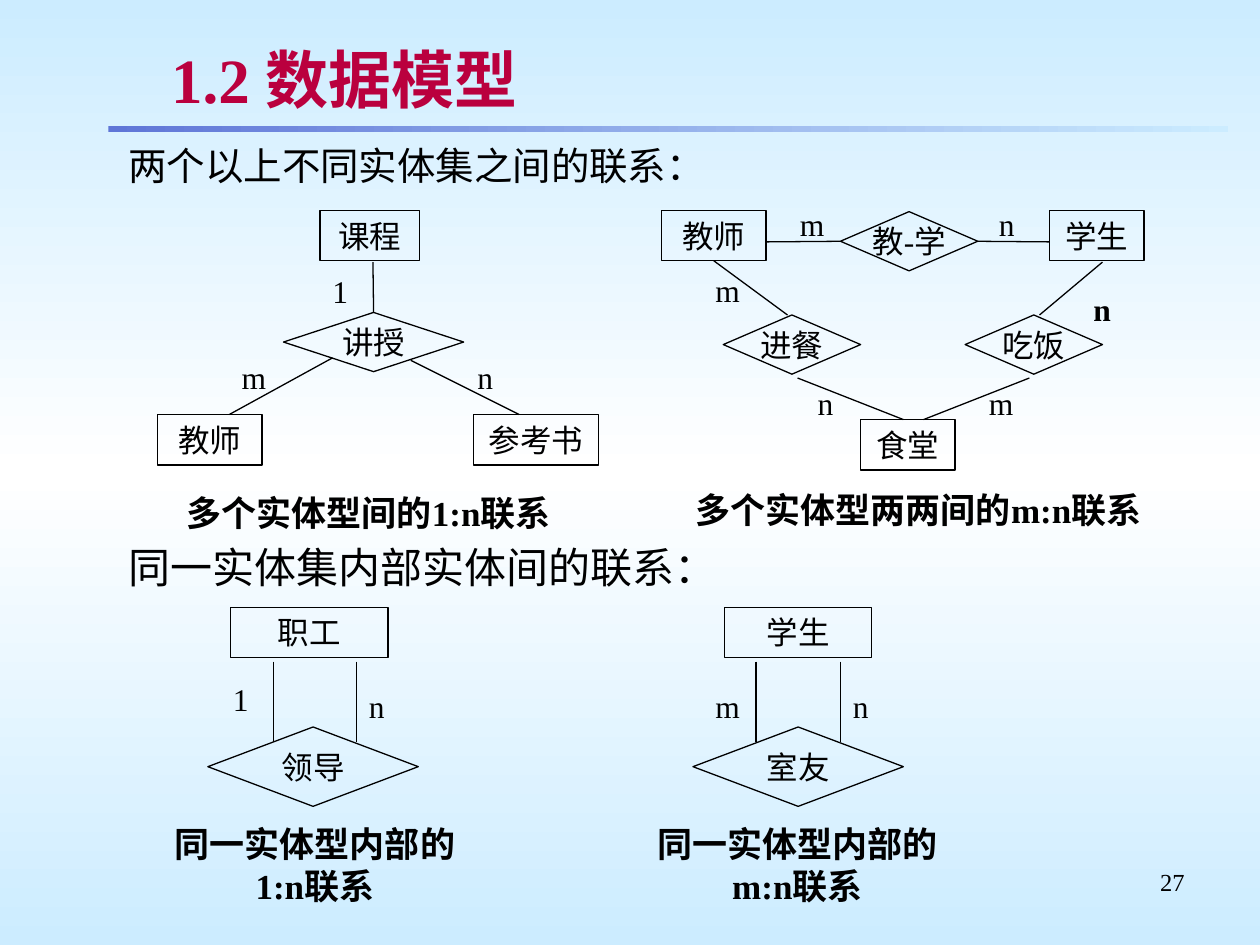
from lxml.etree import SubElement
from pptx import Presentation
from pptx.dml.color import RGBColor
from pptx.enum.shapes import MSO_CONNECTOR, MSO_SHAPE
from pptx.enum.text import MSO_ANCHOR, PP_ALIGN
from pptx.oxml.ns import qn
from pptx.util import Inches, Pt

BLACK, CRIMSON, SKY, WHITE, VIOLET = "000000", "BA003E", "CCECFF", "FFFFFF", "5F76D7"
TOP, LEFT, BOTTOM, RIGHT = range(4)
BOX_HEIGHT = 0.4


def color(value):
    return RGBColor.from_string(value)


def set_gradient(fill, owner, colors, angle):
    """Fill with evenly spaced colour stops; owner is the XML element holding the fill."""
    fill.gradient()
    fill.gradient_angle = angle
    stops = owner.find(".//" + qn("a:gsLst"))
    stops.clear()
    for index, value in enumerate(colors):
        position = 100000 * index // (len(colors) - 1)
        stop = SubElement(stops, qn("a:gs"), pos=str(position))
        SubElement(stop, qn("a:srgbClr"), val=value)


class DiagramSlide:
    """Holds the slide and the shared look of its entity-relationship diagrams."""

    font_name = "Times New Roman"
    font_size = 18
    caption_size = 20
    line_width = 0.75

    def __init__(self, presentation):
        self.slide = presentation.slides.add_slide(presentation.slide_layouts[6])
        self.shapes = self.slide.shapes
        set_gradient(self.slide.background.fill, self.slide.element, (SKY, WHITE, SKY), 270)

    def set_text(self, shape, text, size=None, bold=False, align=PP_ALIGN.LEFT,
                 font_name=None, font_color=BLACK, wrap=True, anchor=MSO_ANCHOR.TOP):
        frame = shape.text_frame
        frame.text = text
        frame.word_wrap = wrap
        frame.vertical_anchor = anchor
        paragraph = frame.paragraphs[0]
        paragraph.alignment = align
        font = paragraph.runs[0].font
        font.name = font_name or self.font_name
        font.size = Pt(size or self.font_size)
        font.bold = bold
        font.color.rgb = color(font_color)
        return paragraph

    def text(self, text, left, top, width, height, **style):
        box = self.shapes.add_textbox(Inches(left), Inches(top), Inches(width), Inches(height))
        return self.set_text(box, text, **style)

    def title(self, text, left, top, width, height):
        paragraph = self.text(text, left, top, width, height, size=36, bold=True,
                              font_color=CRIMSON, anchor=MSO_ANCHOR.MIDDLE)
        properties = paragraph.runs[0]._r.get_or_add_rPr()
        effects = properties.makeelement(qn("a:effectLst"))
        properties.find(qn("a:solidFill")).addnext(effects)
        shadow = SubElement(effects, qn("a:outerShdw"), dist="25400", dir="2700000")
        SubElement(shadow, qn("a:srgbClr"), val="C0C0C0")

    def heading(self, text, top, width, height, size, font_name=None):
        paragraph = self.text(text, 0.42, top, width, height, size=size, font_name=font_name)
        properties = paragraph._p.get_or_add_pPr()
        properties.set("marL", str(Inches(0.81)))
        properties.set("indent", str(Inches(-0.31)))

    def label(self, text, left, top, width=0.36, bold=False):
        self.text(text, left, top, width, BOX_HEIGHT, bold=bold)

    def caption(self, text, left, top, width, height=0.44):
        self.text(text, left, top, width, height, size=self.caption_size, bold=True,
                  align=PP_ALIGN.CENTER)

    def bar(self, left, top, width, height):
        shape = self.shapes.add_shape(MSO_SHAPE.RECTANGLE, Inches(left), Inches(top),
                                      Inches(width), Inches(height))
        shape.shadow.inherit = False
        shape.line.fill.background()
        set_gradient(shape.fill, shape._element, (VIOLET, SKY), 0)

    def outline(self, kind, text, left, top, width, height, **style):
        shape = self.shapes.add_shape(kind, Inches(left), Inches(top),
                                      Inches(width), Inches(height))
        shape.shadow.inherit = False
        shape.fill.background()
        shape.line.color.rgb = color(BLACK)
        shape.line.width = Pt(self.line_width)
        self.set_text(shape, text, align=PP_ALIGN.CENTER, **style)
        return shape

    def entity(self, text, left, top, width):
        return self.outline(MSO_SHAPE.RECTANGLE, text, left, top, width, BOX_HEIGHT)

    def relation(self, text, left, top, width=1.09, height=0.47):
        return self.outline(MSO_SHAPE.DIAMOND, text, left, top, width, height,
                            wrap=False, anchor=MSO_ANCHOR.MIDDLE)

    def line(self, start, end, begin_joint=None, end_joint=None):
        """Draw from start to end; a joint is a (shape, side) pair."""
        connector = self.shapes.add_connector(
            MSO_CONNECTOR.STRAIGHT, *(Inches(value) for value in (*start, *end)))
        connector.line.color.rgb = color(BLACK)
        connector.line.width = Pt(self.line_width)
        SubElement(connector._element.spPr, qn("a:effectLst"))
        if begin_joint:
            connector.begin_connect(*begin_joint)
        if end_joint:
            connector.end_connect(*end_joint)


def draw_course_diagram(page):
    page.entity("课程", 2.54, 1.67, 0.79)
    page.entity("教师", 1.25, 3.29, 0.83)
    page.entity("参考书", 3.76, 3.29, 0.99)
    teaching = page.relation("讲授", 2.25, 2.48, 1.43)
    page.line((2.96, 2.08), (2.96, 2.48), end_joint=(teaching, TOP))
    page.line((1.82, 3.29), (2.64, 2.84))
    page.line((3.26, 2.86), (4.12, 3.29))
    for text, left, top in (("1", 2.54, 2.11), ("m", 1.82, 2.79), ("n", 3.69, 2.79)):
        page.label(text, left, top)
    page.caption("多个实体型间的1:n联系", 1.17, 3.85, 3.51)


def draw_canteen_diagram(page):
    teacher = page.entity("教师", 5.25, 1.67, 0.83)
    page.entity("学生", 8.33, 1.67, 0.75)
    page.entity("食堂", 6.83, 3.33, 0.75)
    teaching = page.relation("教-学", 6.67, 1.68)
    page.relation("进餐", 5.74, 2.5)
    page.relation("吃饭", 7.66, 2.5)
    page.line((6.08, 1.92), (6.67, 1.92), end_joint=(teaching, LEFT))
    page.line((7.76, 1.92), (8.33, 1.92), begin_joint=(teaching, RIGHT))
    page.line((5.67, 2.08), (6.25, 2.5), begin_joint=(teacher, BOTTOM))
    page.line((8.25, 2.5), (8.75, 2.08))
    page.line((6.33, 3), (7.17, 3.33))
    page.line((7.33, 3.33), (8.17, 3))
    for text, left, top in (("m", 6.25, 1.58), ("n", 7.83, 1.58), ("m", 5.58, 2.1),
                            ("n", 6.39, 3), ("m", 7.75, 3)):
        page.label(text, left, top)
    page.label("n", 8.58, 2.25, bold=True)
    page.caption("多个实体型两两间的m:n联系", 5.33, 3.83, 3.92)


def draw_self_relation(page, entity, relation, caption, labels, lines, caption_left):
    """Draw one entity tied to a relation by two lines; each spec is a tuple of arguments."""
    name, left, width = entity
    page.entity(name, left, 4.82, width)
    name, left = relation
    page.relation(name, left, 5.77, 1.67, 0.63)
    for x in lines:
        page.line((x, 5.25), (x, 5.89))
    for text, left, top in labels:
        page.label(text, left, top, 0.42)
    page.caption(caption, caption_left, 6.48, 2.5, 0.77)


def main():
    presentation = Presentation()
    presentation.slide_width = Inches(10)
    presentation.slide_height = Inches(7.5)

    page = DiagramSlide(presentation)
    page.bar(0.86, 1, 8.89, 0.05)
    page.title("1.2 数据模型", 1.26, 0.29, 8.24, 0.67)
    page.heading("两个以上不同实体集之间的联系：", 1.08, 9.25, 0.6, 22)
    draw_course_diagram(page)
    draw_canteen_diagram(page)
    page.heading("同一实体集内部实体间的联系：", 4.25, 9.17, 0.58, 24, "Arial")
    draw_self_relation(page, ("职工", 1.83, 1.25), ("领导", 1.65), "同一实体型内部的1:n联系",
                       (("1", 1.75, 5.35), ("n", 2.83, 5.4)), (2.17, 2.83), 1.25)
    draw_self_relation(page, ("学生", 5.75, 1.17), ("室友", 5.5), "同一实体型内部的m:n联系",
                       (("m", 5.58, 5.4), ("n", 6.67, 5.4)), (6, 6.67), 5.08)
    page.text("27", 7.17, 6.83, 2.33, 0.52, size=14, align=PP_ALIGN.RIGHT)
    presentation.save("out.pptx")


if __name__ == "__main__":
    main()
